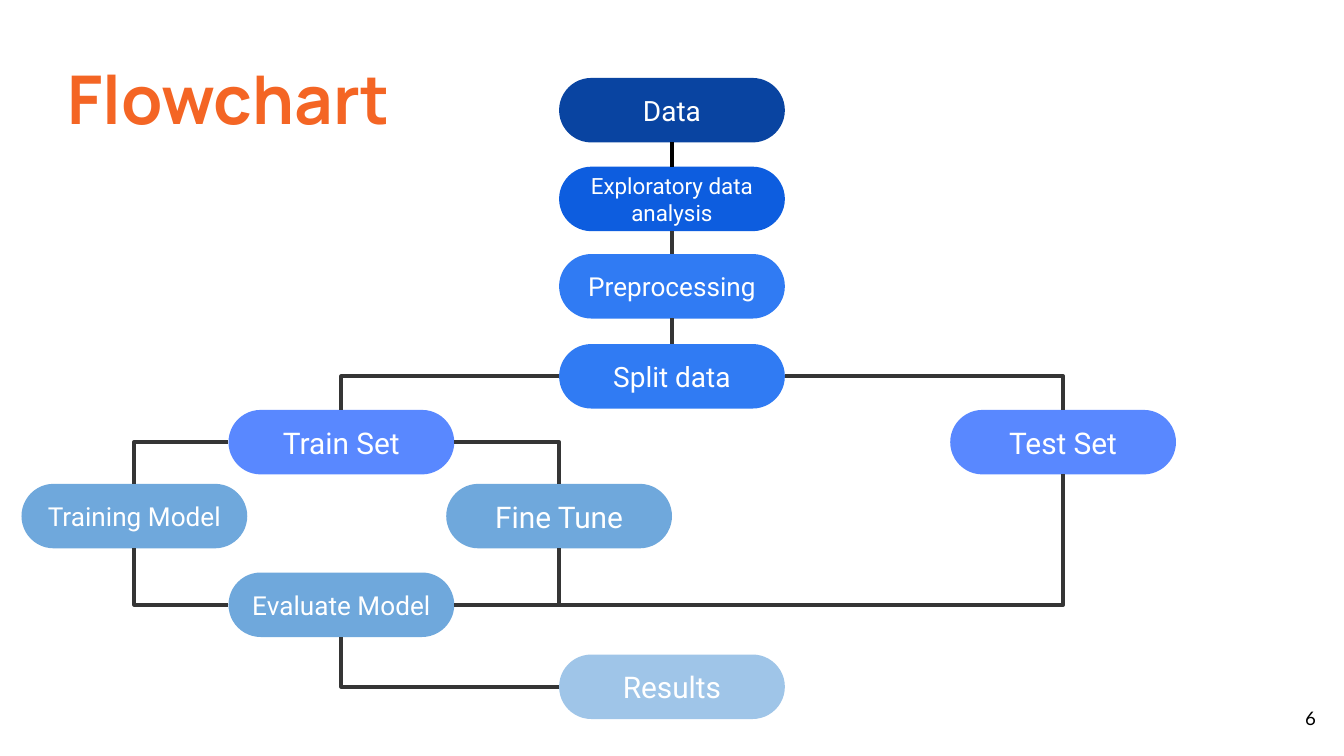
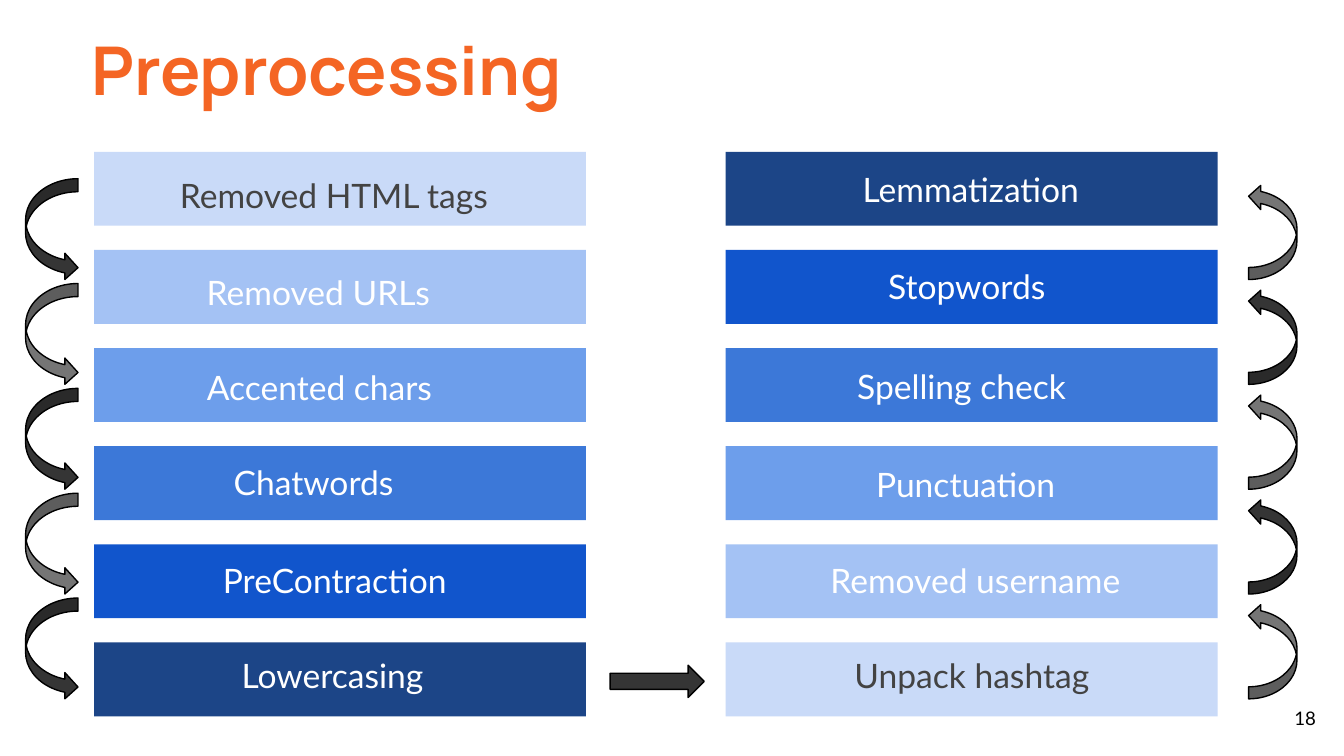
from lxml import etree
from pptx import Presentation
from pptx.dml.color import RGBColor
from pptx.enum.shapes import MSO_CONNECTOR, MSO_SHAPE
from pptx.enum.text import MSO_ANCHOR, MSO_AUTO_SIZE, PP_ALIGN
from pptx.oxml.ns import qn
from pptx.util import Inches, Pt

RECT, PILL = MSO_SHAPE.RECTANGLE, MSO_SHAPE.ROUNDED_RECTANGLE
CURVE, ARROW = MSO_SHAPE.CURVED_RIGHT_ARROW, MSO_SHAPE.RIGHT_ARROW
STRAIGHT, ELBOW = MSO_CONNECTOR.STRAIGHT, MSO_CONNECTOR.ELBOW
LEFT, CENTER, RIGHT = PP_ALIGN.LEFT, PP_ALIGN.CENTER, PP_ALIGN.RIGHT
TOP, MIDDLE = MSO_ANCHOR.TOP, MSO_ANCHOR.MIDDLE
FIT, FIXED = MSO_AUTO_SIZE.SHAPE_TO_FIT_TEXT, MSO_AUTO_SIZE.NONE

ORANGE, WHITE, BLACK = "F46524", "FFFFFF", "000000"
DARK, GREY, INK = "353535", "757575", "434343"
rgb = RGBColor.from_string


def write(shape, text, size, font, color, align=LEFT, anchor=TOP, fit=FIXED):
    frame = shape.text_frame
    frame.text = text
    frame.word_wrap = True
    frame.auto_size = fit
    frame.vertical_anchor = anchor
    frame.margin_left = frame.margin_right = Inches(0.1)
    frame.margin_top = frame.margin_bottom = Inches(0.1)
    para = frame.paragraphs[0]
    para.alignment = align
    face = para.runs[0].font
    face.size, face.name = Pt(size), font
    face.color.rgb = rgb(color)
    return para


def draw(slide, kind, x, y, w, h, fill, line=None):
    shape = slide.shapes.add_shape(kind, Inches(x), Inches(y), Inches(w), Inches(h))
    shape.shadow.inherit = False
    shape.fill.solid()
    shape.fill.fore_color.rgb = rgb(fill)
    if line:
        shape.line.color.rgb = rgb(line)
        shape.line.width = Pt(0.75)
    else:
        shape.line.fill.background()
    return shape


# Widescreen page, 16 to 9
prs = Presentation()
prs.slide_width, prs.slide_height = Inches(10), Inches(10 * 9 / 16)

# Titles and page numbers
pages = []
for name, x, y, num in [("Flowchart", 0.4, 0.33, "6"), ("Preprocessing", 0.58, 0.11, "18")]:
    page = prs.slides.add_slide(prs.slide_layouts[5])
    title = page.shapes.title
    title.left, title.top = Inches(x), Inches(y)
    title.width, title.height = Inches(5.68), Inches(0.84)
    para = write(title, name, 36, "Manrope", ORANGE)
    para.runs[0].font.bold = True
    para.space_after = Pt(16)
    foot = page.shapes.add_textbox(Inches(9.29), Inches(5.13), Inches(0.6), Inches(0.43))
    write(foot, num, 10, "Lato", BLACK, RIGHT, MIDDLE)
    pages.append(page)
flow, prep = pages

# Flowchart steps
steps = [
    ("Data", 4.16, 0.58, "0944A1", 15),
    ("Exploratory data analysis", 4.16, 1.24, "0D5DDF", 12),
    ("Preprocessing", 4.16, 1.89, "307BF3", 14),
    ("Split data", 4.16, 2.56, "307BF3", 15),
    ("Train Set", 1.7, 3.05, "084EFF", 16),
    ("Test Set", 7.07, 3.05, "084EFF", 16),
    ("Training Model", 0.16, 3.6, "6FA8DC", 14),
    ("Fine Tune", 3.32, 3.6, "6FA8DC", 16),
    ("Evaluate Model", 1.7, 4.26, "6FA8DC", 14),
    ("Results", 4.16, 4.87, "9FC5E8", 16),
]
pills = {}
for name, x, y, fill, size in steps:
    pill = draw(flow, PILL, x, y, 1.68, 0.48, fill)
    pill.adjustments[0] = 0.5
    write(pill, name, size, "Roboto", WHITE, CENTER, MIDDLE)
    pills[name] = pill

# The two data sets are see-through
for name in ("Train Set", "Test Set"):
    tone = pills[name]._element.spPr.find(".//" + qn("a:srgbClr"))
    etree.SubElement(tone, qn("a:alpha")).set("val", "67000")

# Links between steps: sides are 0 top, 1 left, 2 bottom, 3 right
links = [
    ("Data", 2, "Exploratory data analysis", 0),
    ("Exploratory data analysis", 2, "Preprocessing", 0),
    ("Preprocessing", 2, "Split data", 0),
    ("Split data", 1, "Train Set", 0),
    ("Split data", 3, "Test Set", 0),
    ("Train Set", 1, "Training Model", 0),
    ("Train Set", 3, "Fine Tune", 0),
    ("Evaluate Model", 1, "Training Model", 2),
    ("Evaluate Model", 3, "Fine Tune", 2),
    ("Evaluate Model", 3, "Test Set", 2),
    ("Results", 1, "Evaluate Model", 2),
]
for start, out, end, into in links:
    bent = out in (1, 3)
    link = flow.shapes.add_connector(ELBOW if bent else STRAIGHT, 0, 0, 0, 0)
    link.begin_connect(pills[start], out)
    link.end_connect(pills[end], into)
    link.line.color.rgb = rgb(BLACK if start == "Data" else DARK)
    link.line.width = Pt(2.25)
    props = link._element.spPr
    etree.SubElement(props, qn("a:effectLst"))
    if bent:  # one corner only
        props.find(qn("a:prstGeom")).set("prst", "bentConnector2")

# Preprocessing bars, light to dark and back
shades = ["C9DAF8", "A4C2F4", "6D9EEB", "3C78D8", "1155CC", "1C4587"]
for i, shade in enumerate(shades):
    draw(prep, RECT, 0.7, 1.13 + 0.73 * i, 3.66, 0.55, shade)
    draw(prep, RECT, 5.4, 1.13 + 0.73 * (5 - i), 3.66, 0.55, shade)

# Arrows down the left, across and up the right
for i in range(5):
    tones = (GREY, DARK) if i % 2 else (DARK, GREY)
    draw(prep, CURVE, 0.19, 1.33 + 0.78 * i, 0.39, 0.76, tones[0], BLACK)
    rise = draw(prep, CURVE, 9.29, 1.37 + 0.78 * i, 0.36, 0.71, tones[1], BLACK)
    rise.rotation = 180
draw(prep, ARROW, 4.54, 4.95, 0.7, 0.24, DARK, BLACK)

# Bar labels in reading order
labels = [
    ("Removed HTML tags", 1.24, 1.16, 2.7),
    ("Removed URLs", 1.44, 1.92, 2.3),
    ("Accented chars", 1.44, 2.63, 2.08),
    ("Chatwords", 1.64, 3.34, 1.78),
    ("PreContraction", 1.56, 4.07, 1.95),
    ("Lowercasing", 1.7, 4.77, 1.67),
    ("Unpack hashtag", 6.26, 4.77, 2.03),
    ("Removed username", 6.08, 4.07, 2.6),
    ("Punctuation", 6.42, 3.35, 2.03),
    ("Spelling check", 6.28, 2.62, 2.03),
    ("Stopwords", 6.51, 1.88, 1.85),
    ("Lemmatization", 6.32, 1.16, 1.95),
]
for i, (name, x, y, w) in enumerate(labels):
    label = prep.shapes.add_textbox(Inches(x), Inches(y), Inches(w), Inches(0.5))
    color = INK if i % 6 == 0 else WHITE
    para = write(label, name, 18, "Lato", color, fit=FIT)
    if i == 0:
        para.line_spacing = 1.15
        para.space_after = Pt(16)

prs.save("out.pptx")
